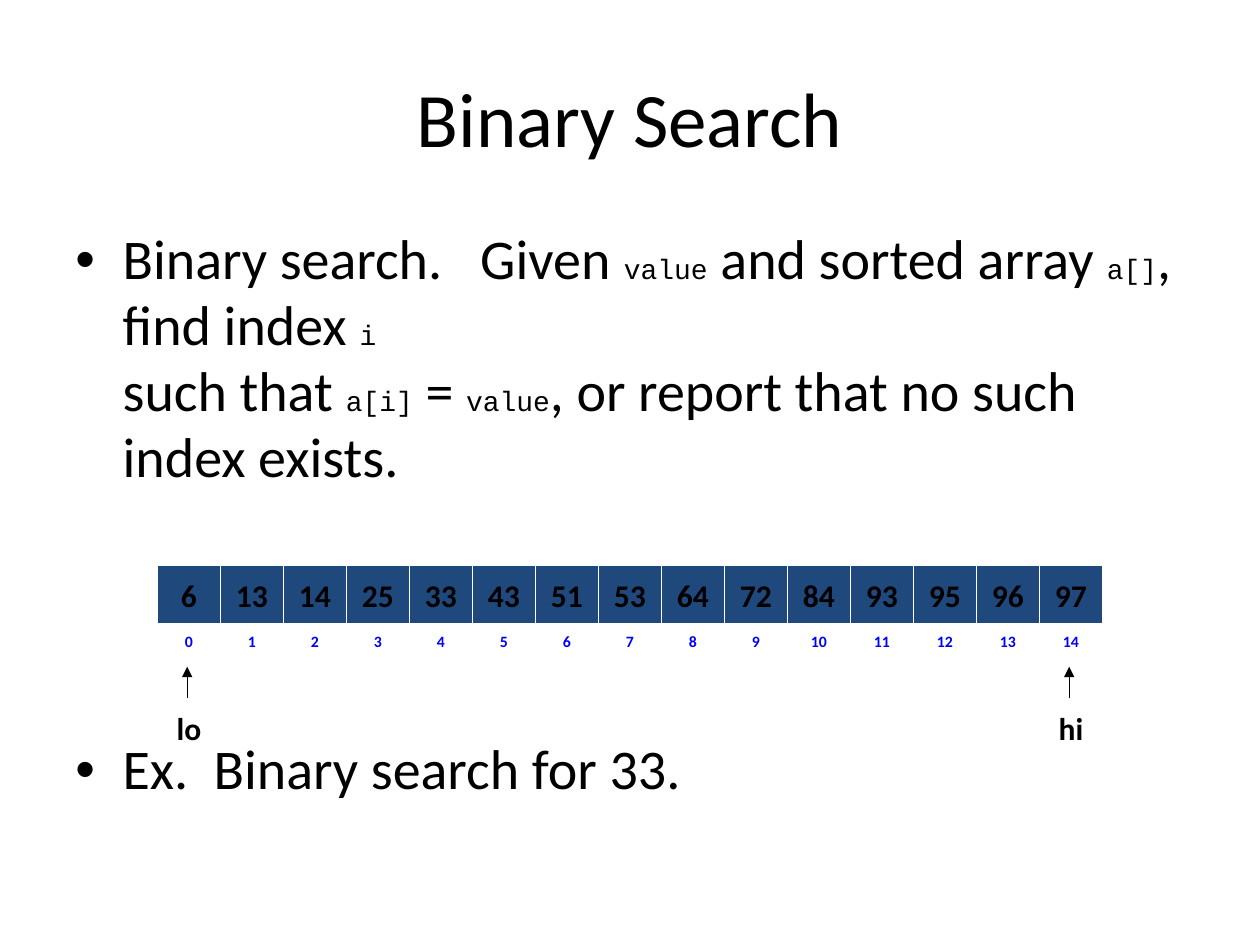
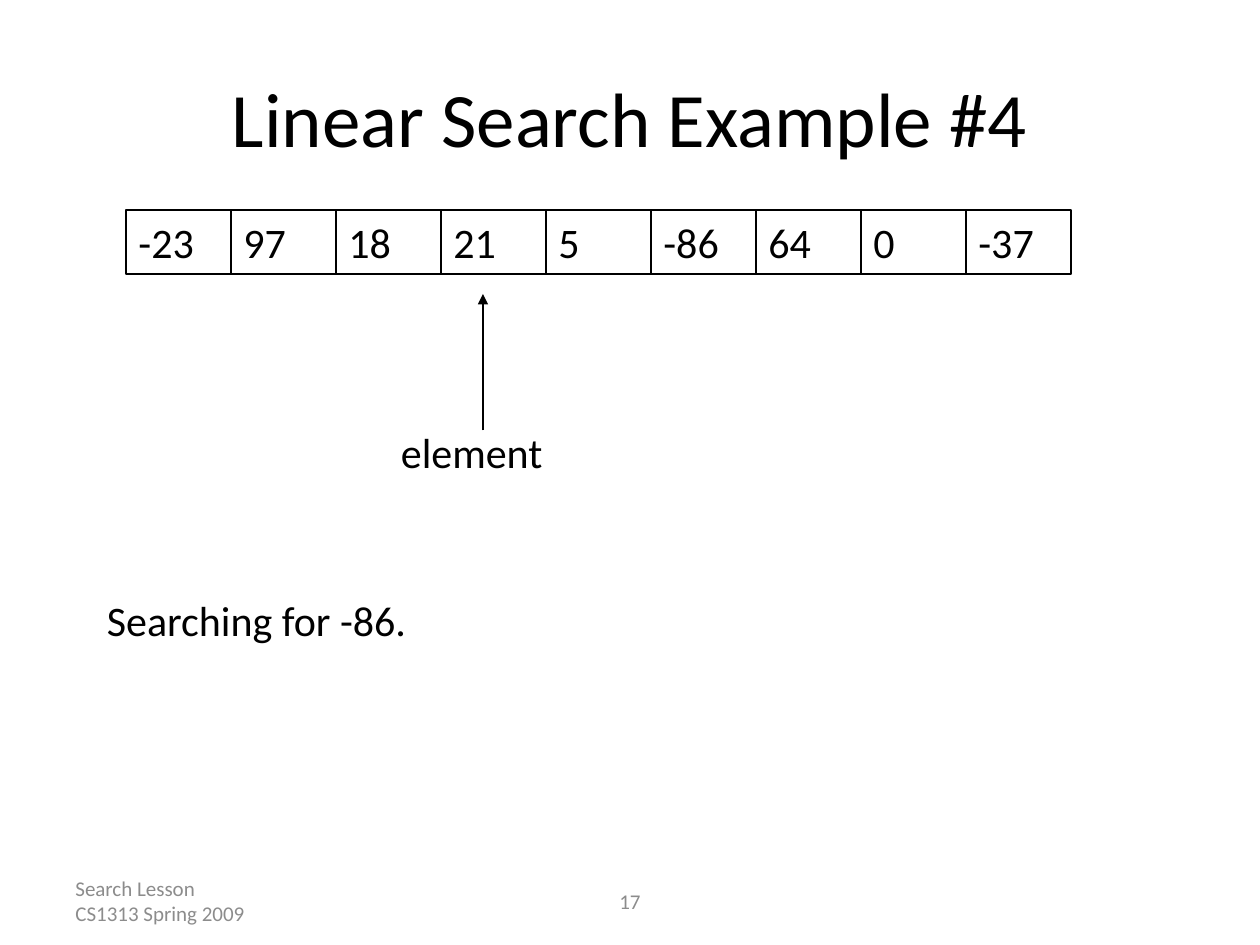
import lxml.etree
import pptx
import pptx.dml.color
import pptx.enum.shapes
import pptx.enum.text
import pptx.oxml.ns
import pptx.util

Pt = pptx.util.Pt
qn = pptx.oxml.ns.qn
ALIGN = pptx.enum.text.PP_ALIGN
ANCHOR = pptx.enum.text.MSO_ANCHOR

COLORS = {"text": "000000", "cell": "1F497D", "border": "FFFFFF", "index": "0000FF", "footer": "8C8C8C"}
TEXT_FONT = "Calibri"
CODE_FONT = "Courier New"
CELL_WIDTH = 36
ARRAY_LEFT = 90
SORTED_VALUES = [6, 13, 14, 25, 33, 43, 51, 53, 64, 72, 84, 93, 95, 96, 97]
UNSORTED_VALUES = [-23, 97, 18, 21, 5, -86, 64, 0, -37]
DEFINITION = (
    "Binary search.   Given `value` and sorted array `a[]`, find index `i`\n"
    "such that `a[i]` = `value`, or report that no such index exists."
)


def rgb(name):
    """Return the named colour."""
    return pptx.dml.color.RGBColor.from_string(COLORS[name])


def add_run(paragraph, text, size=24, font=TEXT_FONT, color="text", bold=False):
    """Add formatted text to a paragraph."""
    run = paragraph.add_run()
    run.text = text
    run.font.size = Pt(size)
    run.font.name = font
    run.font.bold = bold
    run.font.color.rgb = rgb(color)


def fill_frame(shape, text, align=ALIGN.LEFT, anchor=ANCHOR.TOP, wrap=True, **text_format):
    """Write one paragraph per line of text into a shape."""
    frame = shape.text_frame
    frame.word_wrap = wrap
    frame.vertical_anchor = anchor
    for number, line in enumerate(text.split("\n")):
        paragraph = frame.add_paragraph() if number else frame.paragraphs[0]
        paragraph.alignment = align
        add_run(paragraph, line, **text_format)


def add_label(slide, box, text, **text_format):
    """Add a text box at left, top, width, height."""
    shape = slide.shapes.add_textbox(*map(Pt, box))
    fill_frame(shape, text, **text_format)


def add_title(slide, text):
    """Add the slide title."""
    add_label(slide, (36, 21.6, 648, 90), text, size=44, align=ALIGN.CENTER, anchor=ANCHOR.MIDDLE)


def add_cells(slide, values, left, top, width, height, line, line_width, fill=None, **text_format):
    """Add a row of adjoining boxes, one for each value."""
    for position, value in enumerate(values):
        shape = slide.shapes.add_shape(
            pptx.enum.shapes.MSO_SHAPE.RECTANGLE,
            Pt(left + position * width), Pt(top), Pt(width), Pt(height),
        )
        shape.shadow.inherit = False
        if fill:
            shape.fill.solid()
            shape.fill.fore_color.rgb = rgb(fill)
        else:
            shape.fill.background()
        shape.line.color.rgb = rgb(line)
        shape.line.width = Pt(line_width)
        fill_frame(shape, str(value), **text_format)


def add_up_arrow(slide, x, bottom, top):
    """Add a thin arrow that points up."""
    arrow = slide.shapes.add_connector(
        pptx.enum.shapes.MSO_CONNECTOR.STRAIGHT, Pt(x), Pt(bottom), Pt(x), Pt(top)
    )
    arrow.line.color.rgb = rgb("text")
    arrow.line.width = Pt(0.75)
    properties = arrow.element.spPr
    lxml.etree.SubElement(properties.find(qn("a:ln")), qn("a:tailEnd"), type="triangle")
    lxml.etree.SubElement(properties, qn("a:effectLst"))


def add_bullet(paragraph, text):
    """Write a bulleted paragraph, with code between backticks."""
    properties = paragraph._p.get_or_add_pPr()
    properties.set("marL", str(Pt(27)))
    properties.set("indent", str(Pt(-27)))
    lxml.etree.SubElement(properties, qn("a:buFont"), typeface="Arial")
    lxml.etree.SubElement(properties, qn("a:buChar"), char="•")
    paragraph.line_spacing = 0.985
    for number, line in enumerate(text.split("\n")):
        if number:
            paragraph.add_line_break()
        for position, piece in enumerate(line.split("`")):
            if piece and position % 2:
                add_run(paragraph, piece, size=16, font=CODE_FONT)
            elif piece:
                add_run(paragraph, piece, size=32)


def add_body(slide):
    """Add the definition and the example, with room for the array between."""
    frame = slide.shapes.add_textbox(Pt(36), Pt(126), Pt(648), Pt(356.4)).text_frame
    frame.word_wrap = True
    add_bullet(frame.paragraphs[0], DEFINITION)
    example = frame.add_paragraph()
    add_bullet(example, "Ex.  Binary search for 33.")
    example.space_before = Pt(141)


def add_pointer(slide, text, center):
    """Add a named pointer below the sorted array."""
    add_up_arrow(slide, center - 1, 399, 381)
    add_label(slide, (center - 15.5, 401.8, 31, 24), text,
              size=18, bold=True, align=ALIGN.CENTER, wrap=False)


def add_footer(slide, number):
    """Add the course name and the slide number."""
    footer_format = {"size": 12, "color": "footer", "anchor": ANCHOR.MIDDLE}
    add_label(slide, (36, 500.4, 168, 28.8), "Search Lesson\nCS1313 Spring 2009", **footer_format)
    add_label(slide, (246, 500.4, 228, 28.8), str(number), align=ALIGN.CENTER, **footer_format)


def build_binary_search(slide):
    """Build the slide that defines binary search."""
    cell_format = {"left": ARRAY_LEFT, "width": CELL_WIDTH, "line": "border", "line_width": 0.75,
                   "bold": True, "align": ALIGN.CENTER, "anchor": ANCHOR.MIDDLE, "wrap": False}
    add_cells(slide, range(len(SORTED_VALUES)), top=358.6, height=15.1,
              size=9, color="index", **cell_format)
    add_cells(slide, SORTED_VALUES, top=323.3, height=33.1, size=18, fill="cell", **cell_format)
    add_title(slide, "Binary Search")
    add_body(slide)
    for text, position in (("lo", 0), ("hi", len(SORTED_VALUES) - 1)):
        add_pointer(slide, text, ARRAY_LEFT + (position + 0.5) * CELL_WIDTH)


def build_linear_search(slide):
    """Build the slide that steps through a linear search."""
    add_footer(slide, 17)
    add_title(slide, "Linear Search Example #4")
    add_label(slide, (222, 240, 108, 36), "element")
    add_up_arrow(slide, 276, 246, 168)
    add_label(slide, (54, 336, 246, 36), "Searching for -86.")
    add_cells(slide, UNSORTED_VALUES, left=72, top=120, width=60, height=36.75,
              line="text", line_width=1)


def main():
    """Build and save the presentation."""
    presentation = pptx.Presentation()
    presentation.slide_width = Pt(720)
    presentation.slide_height = Pt(540)
    for build in (build_binary_search, build_linear_search):
        build(presentation.slides.add_slide(presentation.slide_layouts[6]))
    presentation.save("out.pptx")


if __name__ == "__main__":
    main()
